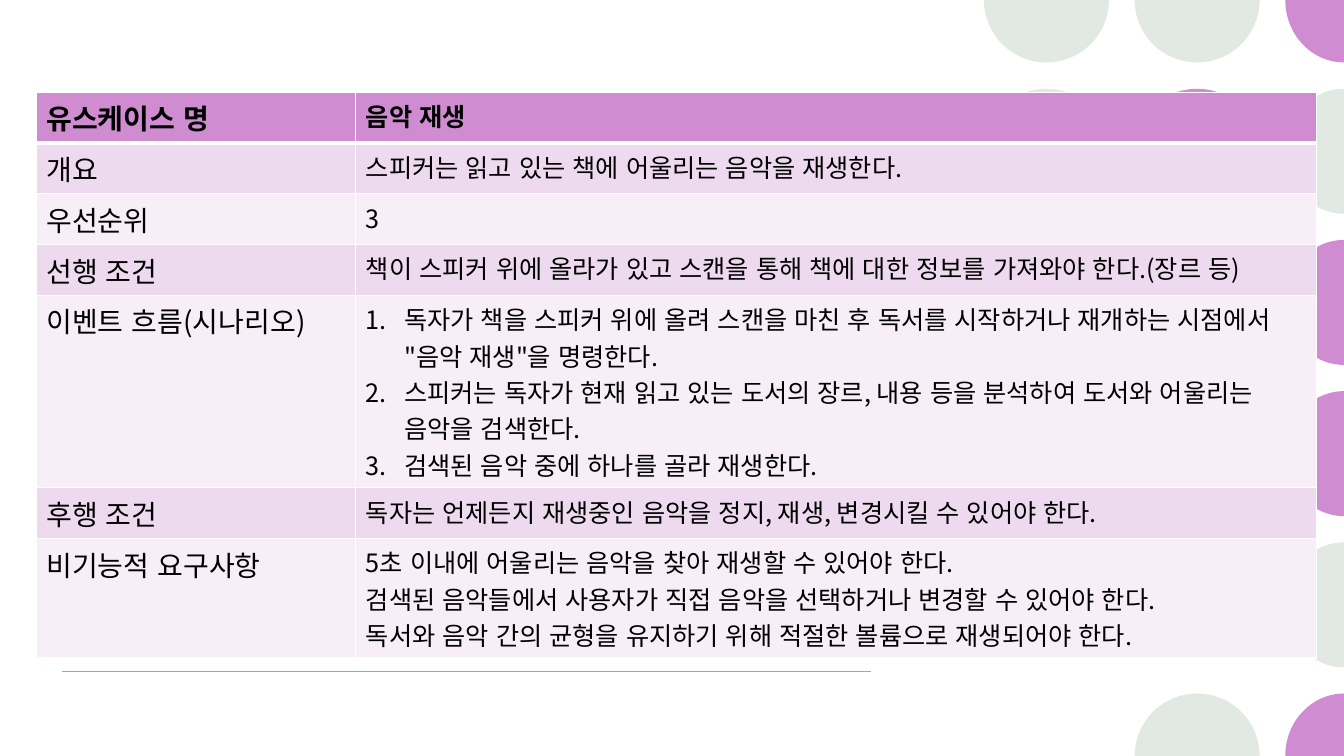
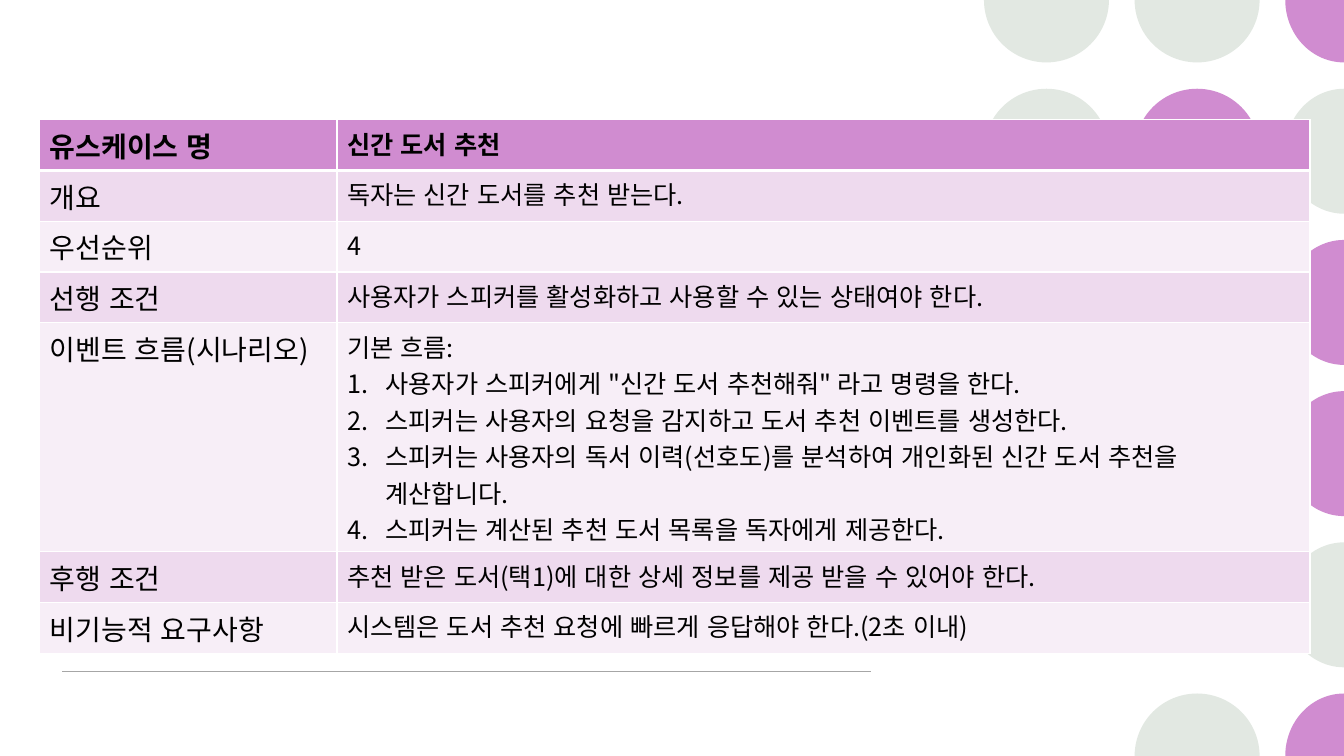
from lxml import etree
from pptx import Presentation
from pptx.dml.color import RGBColor
from pptx.enum.lang import MSO_LANGUAGE_ID
from pptx.enum.shapes import MSO_CONNECTOR, MSO_SHAPE
from pptx.oxml.ns import qn
from pptx.util import Inches, Pt

STRAIGHT = MSO_CONNECTOR.STRAIGHT
OVAL = MSO_SHAPE.OVAL
KOREAN = MSO_LANGUAGE_ID.KOREAN

# Colours
ORCHID = RGBColor(0xD0, 0x8C, 0xD0)
SAGE = RGBColor(0xE2, 0xE8, 0xE2)
BAND_DARK = RGBColor(0xEE, 0xDA, 0xEE)
BAND_LIGHT = RGBColor(0xF7, 0xEE, 0xF7)
RULE_GREY = RGBColor(0xA6, 0xA6, 0xA6)
BLACK = RGBColor(0, 0, 0)
WHITE = RGBColor(0xFF, 0xFF, 0xFF)

# Dot pattern: one string per row, S = sage, O = orchid, . = empty
DOT_ROWS = ["SSO", "SOS", ".SO", ".SO", "..S", ".SO"]
DOT_COLOURS = {"S": SAGE, "O": ORCHID}

# Quarter points of a disc, clockwise from the right
COMPASS = [(1, 0), (0, 1), (-1, 0), (0, -1), (1, 0)]
QUARTER_TURN = 90 * 60000

ROW_LABELS = ["유스케이스 명", "개요", "우선순위", "선행 조건",
              "이벤트 흐름(시나리오)", "후행 조건", "비기능적 요구사항"]


class Deck:
    """Shared style and the current page; lengths are percent of the slide."""

    FONT = "Noto Sans CJK KR"
    LABEL_SIZE, TEXT_SIZE = Pt(20), Pt(18)
    THIN, THICK = Pt(1), Pt(3)
    NUMBER_INDENT = Inches(0.38)

    def __init__(self):
        self.file = Presentation()
        self.file.slide_width = Inches(13.33)
        self.file.slide_height = Inches(7.5)
        self.page = None

    def across(self, share):
        return round(self.file.slide_width * share / 100)

    def down(self, share):
        return round(self.file.slide_height * share / 100)

    def add_page(self):
        self.page = self.file.slides.add_slide(self.file.slide_layouts[6])
        for row, marks in enumerate(DOT_ROWS):
            for column, mark in enumerate(marks):
                if mark in DOT_COLOURS:
                    self.dot(77.86 + 11.21 * column, 20 * row,
                             DOT_COLOURS[mark])
        self.rule(4.65, 64.8, 88.8)

    def dot(self, column, row, colour):
        """A disc, or the half or quarter of it that lies on the slide."""
        radius = self.across(4.65)
        left = self.across(column) - radius
        x, y = self.across(min(column, 100)), self.down(row)
        at_right = column >= 100
        if at_right or row in (0, 100):
            quarters = [quarter for quarter in range(4)
                        if not (at_right and quarter in (0, 3))
                        and not (row == 0 and quarter > 1)
                        and not (row == 100 and quarter < 2)]
            disc = self.part_disc(x, y, x - left, radius, quarters)
        else:
            disc = self.page.shapes.add_shape(OVAL, left, y - radius,
                                              2 * radius, 2 * radius)
        disc.shadow.inherit = False
        disc.fill.solid()
        disc.fill.fore_color.rgb = colour
        disc.line.fill.background()

    def part_disc(self, x, y, x_radius, y_radius, quarters):
        """Neighbouring quarters of a disc, each drawn as one arc."""
        corners = [(x + x_radius * across, y + y_radius * down)
                   for across, down in COMPASS[quarters[0]:quarters[-1] + 2]]
        outline = self.page.shapes.build_freeform(*corners[0])
        outline.add_line_segments(corners[1:] + [(x, y)], close=True)
        disc = outline.convert_to_shape()
        edges = list(disc._element.iter(qn("a:lnTo")))
        for quarter, edge in zip(quarters, edges):
            arc = etree.Element(qn("a:arcTo"), wR=str(x_radius),
                                hR=str(y_radius),
                                stAng=str(quarter * QUARTER_TURN),
                                swAng=str(QUARTER_TURN))
            edge.getparent().replace(edge, arc)
        return disc

    def rule(self, left, right, y):
        line = self.page.shapes.add_connector(
            STRAIGHT, self.across(left), self.down(y),
            self.across(right), self.down(y))
        line.line.color.rgb = RULE_GREY
        line.line.width = self.THIN
        etree.SubElement(line._element.spPr, qn("a:effectLst"))

    def table(self, left, top, columns, rows, entries):
        """Labels on the left, one list of (text, numbered) lines per row."""
        frame = self.page.shapes.add_table(
            len(rows), len(columns), self.across(left), self.down(top),
            self.across(sum(columns)), self.down(sum(rows)))
        table = frame.table
        table.horz_banding = False
        for column, share in zip(table.columns, columns):
            column.width = self.across(share)
        for index, (share, label, lines) in enumerate(
                zip(rows, ROW_LABELS, entries)):
            table.rows[index].height = self.down(share)
            self.cell(table.cell(index, 0), index, [(label, False)],
                      self.LABEL_SIZE)
            self.cell(table.cell(index, 1), index, lines, self.TEXT_SIZE)

    def cell(self, box, row, lines, size):
        box.fill.solid()
        box.fill.fore_color.rgb = (
            ORCHID if row == 0 else BAND_DARK if row % 2 else BAND_LIGHT)
        self.borders(box, top=self.THICK if row == 1 else self.THIN,
                     bottom=self.THICK if row == 0 else self.THIN)
        for index, (text, numbered) in enumerate(lines):
            frame = box.text_frame
            para = frame.add_paragraph() if index else frame.paragraphs[0]
            if numbered:
                self.number(para)
            self.span(para, text, size, bold=row == 0)

    def borders(self, box, top, bottom):
        properties = box._tc.get_or_add_tcPr()
        sides = [("L", self.THIN), ("R", self.THIN), ("T", top), ("B", bottom)]
        for index, (side, width) in enumerate(sides):
            line = etree.Element(qn("a:ln" + side), w=str(int(width)))
            fill = etree.SubElement(line, qn("a:solidFill"))
            etree.SubElement(fill, qn("a:srgbClr"), val=str(WHITE))
            properties.insert(index, line)

    def number(self, para):
        properties = para._p.get_or_add_pPr()
        properties.set("marL", str(int(self.NUMBER_INDENT)))
        properties.set("indent", str(-self.NUMBER_INDENT))
        etree.SubElement(properties, qn("a:buFont"), typeface="+mj-lt")
        etree.SubElement(properties, qn("a:buAutoNum"), type="arabicPeriod")

    def span(self, para, text, size, bold):
        span = para.add_run()
        span.text = text
        font = span.font
        font.size, font.bold = size, bold
        font.language_id = KOREAN
        font.color.rgb = BLACK
        font.name = self.FONT
        etree.SubElement(span._r.get_or_add_rPr(), qn("a:ea"), typeface=self.FONT)


def plain(*texts):
    return [(text, False) for text in texts]


def steps(*texts):
    return [(text, True) for text in texts]


def main():
    deck = Deck()

    # Use case: playing music
    deck.add_page()
    deck.table(2.7, 12.2, [23.78, 71.49],
               [5.73, 5.73, 5.73, 6.27, 21.33, 5.73, 11.33], [
        plain("음악 재생"),
        plain("스피커는 읽고 있는 책에 어울리는 음악을 재생한다."),
        plain("3"),
        plain("책이 스피커 위에 올라가 있고 스캔을 통해 책에 대한 정보를 가져와야 한다.(장르 등)"),
        steps("독자가 책을 스피커 위에 올려 스캔을 마친 후 독서를 시작하거나 재개하는 시점에서 \"음악 재생\"을 명령한다.",
              "스피커는 독자가 현재 읽고 있는 도서의 장르, 내용 등을 분석하여 도서와 어울리는 음악을 검색한다.",
              "검색된 음악 중에 하나를 골라 재생한다."),
        plain("독자는 언제든지 재생중인 음악을 정지, 재생, 변경시킬 수 있어야 한다."),
        plain("5초 이내에 어울리는 음악을 찾아 재생할 수 있어야 한다.",
              "검색된 음악들에서 사용자가 직접 음악을 선택하거나 변경할 수 있어야 한다.",
              "독서와 음악 간의 균형을 유지하기 위해 적절한 볼륨으로 재생되어야 한다."),
    ])

    # Use case: recommending new books
    deck.add_page()
    deck.table(2.95, 15.85, [22.13, 72.39],
               [5.2, 5.2, 5.2, 5.2, 22.4, 5.2, 5.2], [
        plain("신간 도서 추천"),
        plain("독자는 신간 도서를 추천 받는다."),
        plain("4"),
        plain("사용자가 스피커를 활성화하고 사용할 수 있는 상태여야 한다."),
        plain("기본 흐름:")
        + steps("사용자가 스피커에게 \"신간 도서 추천해줘\" 라고 명령을 한다.",
                "스피커는 사용자의 요청을 감지하고 도서 추천 이벤트를 생성한다.",
                "스피커는 사용자의 독서 이력(선호도)를 분석하여 개인화된 신간 도서 추천을 계산합니다.",
                "스피커는 계산된 추천 도서 목록을 독자에게 제공한다."),
        plain("추천 받은 도서(택1)에 대한 상세 정보를 제공 받을 수 있어야 한다."),
        plain("시스템은 도서 추천 요청에 빠르게 응답해야 한다.(2초 이내)"),
    ])

    deck.file.save("out.pptx")


if __name__ == "__main__":
    main()
